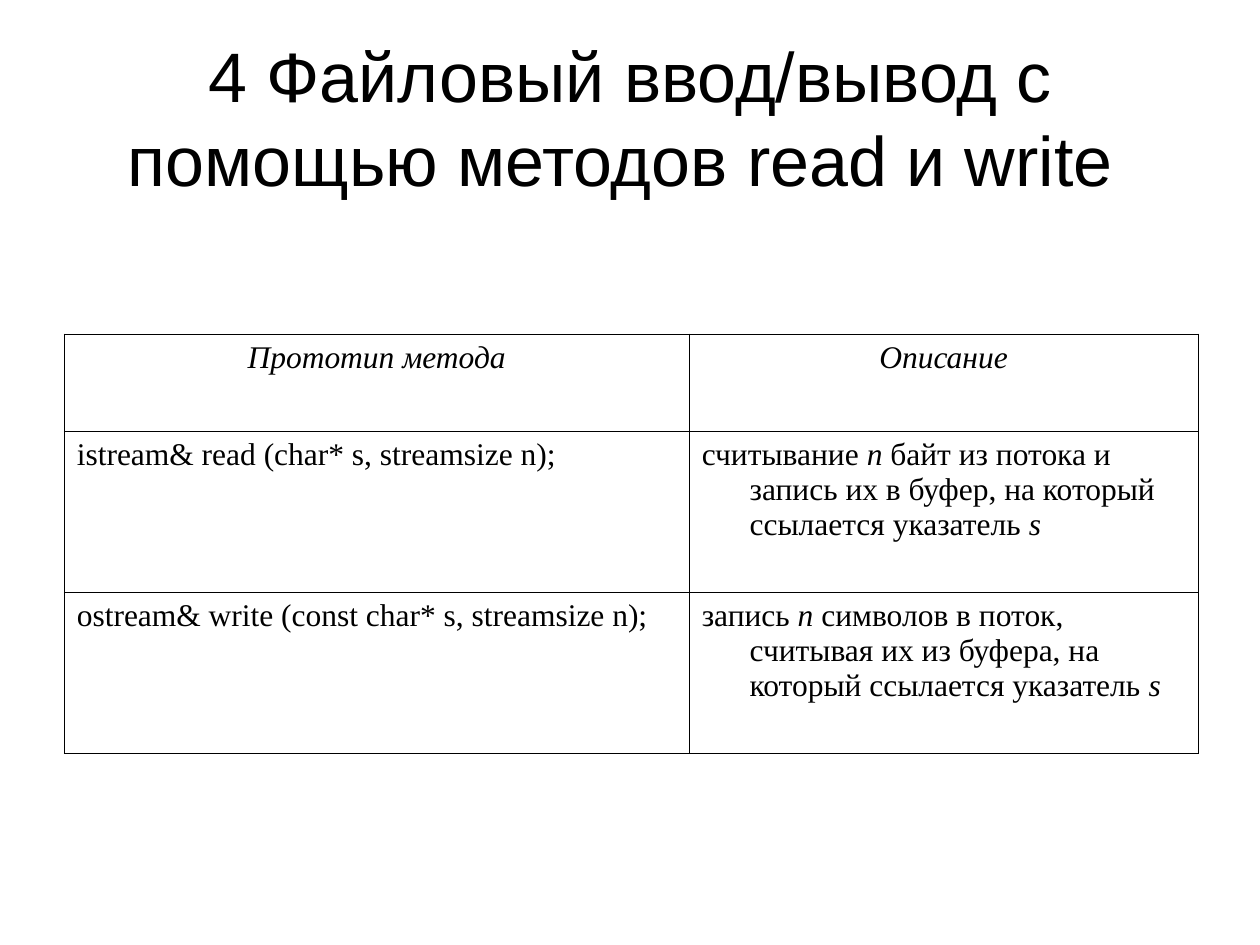
"""Build the slide on file input and output with the read and write methods."""
from typing import NamedTuple

from lxml import etree
from pptx import Presentation
from pptx.dml.color import RGBColor
from pptx.enum.text import MSO_ANCHOR, MSO_AUTO_SIZE, PP_ALIGN
from pptx.oxml.ns import qn
from pptx.util import Inches, Pt

BLACK = RGBColor(0x00, 0x00, 0x00)
CENTER, LEFT = PP_ALIGN.CENTER, PP_ALIGN.LEFT
MIDDLE, TOP = MSO_ANCHOR.MIDDLE, MSO_ANCHOR.TOP
NO_FIT = MSO_AUTO_SIZE.NONE
TITLE_LAYOUT = 5
WIDTH, HEIGHT = Inches(10), Inches(7.5)
COLUMNS = (4.96, 4.04)
ROWS = (0.77, 1.28, 1.28)
INDENT = Inches(0.38)
BORDER = Pt(0.45)


class Piece(NamedTuple):
    text: str
    italic: bool = False


class Row(NamedTuple):
    prototype: list[Piece]
    description: list[Piece]
    align: int = LEFT


TITLE = "4 Файловый ввод/вывод с помощью методов read и write "
CONTENT = [
    Row([Piece("Прототип метода", True)], [Piece("Описание", True)], CENTER),
    Row(
        [Piece("istream& read (char* s, streamsize n);")],
        [
            Piece("считывание "),
            Piece("п", True),
            Piece(" байт из потока и запись их в буфер, на который ссылается указатель "),
            Piece("s", True),
        ],
    ),
    Row(
        [Piece("ostream& write (const char* s, streamsize n);")],
        [
            Piece("запись "),
            Piece("п", True),
            Piece(" символов в поток, считывая их из буфера, на который ссылается указатель "),
            Piece("s", True),
        ],
    ),
]


def add_run(p, text: str, *, font: str, size: float, italic: bool = False) -> None:
    """Append a formatted run to a paragraph."""
    r = p.add_run()
    r.text = text
    r.font.name, r.font.size = font, Pt(size)
    r.font.bold, r.font.italic = False, italic
    r.font.color.rgb = BLACK


def set_borders(cell) -> None:
    """Draw a thin black line on every side of a cell."""
    tc_pr = cell._tc.get_or_add_tcPr()
    for index, side in enumerate(("a:lnL", "a:lnR", "a:lnT", "a:lnB")):
        ln = etree.Element(qn(side), w=str(int(BORDER)))
        fill = etree.SubElement(ln, qn("a:solidFill"))
        etree.SubElement(fill, qn("a:srgbClr"), val=str(BLACK))
        tc_pr.insert(index, ln)


def fill_cell(cell, pieces: list[Piece], align: int) -> None:
    """Write the pieces into a cell with a hanging indent."""
    cell.fill.background()
    cell.vertical_anchor = TOP
    set_borders(cell)
    p = cell.text_frame.paragraphs[0]
    p.alignment = align
    p_pr = p._p.get_or_add_pPr()
    p_pr.set("marL", str(int(INDENT)))
    p_pr.set("indent", str(-int(INDENT)))
    for piece in pieces:
        add_run(p, piece.text, font="Times New Roman", size=18, italic=piece.italic)


def add_title(s) -> None:
    """Place and format the title placeholder."""
    sp = s.shapes.title
    sp.left, sp.top = int(WIDTH * 0.05), int(HEIGHT * 0.04)
    sp.width, sp.height = int(WIDTH * 0.9), Inches(1.25)
    tf = sp.text_frame
    tf.word_wrap, tf.auto_size, tf.vertical_anchor = True, NO_FIT, MIDDLE
    p = tf.paragraphs[0]
    p.alignment = CENTER
    add_run(p, TITLE, font="Arial", size=40)


def add_methods(s) -> None:
    """Add the table of method prototypes."""
    sp = s.shapes.add_table(
        len(ROWS), len(COLUMNS), Inches(0.51), Inches(2.65),
        Inches(sum(COLUMNS)), Inches(sum(ROWS)),
    )
    table = sp.table
    table.first_row = table.horz_banding = False
    for column, width in zip(table.columns, COLUMNS):
        column.width = Inches(width)
    for line, height, row in zip(table.rows, ROWS, CONTENT):
        line.height = Inches(height)
        for cell, pieces in zip(line.cells, (row.prototype, row.description)):
            fill_cell(cell, pieces, row.align)


def main() -> None:
    """Build and save the presentation."""
    prs = Presentation()
    prs.slide_width, prs.slide_height = WIDTH, HEIGHT
    s = prs.slides.add_slide(prs.slide_layouts[TITLE_LAYOUT])
    add_title(s)
    add_methods(s)
    prs.save("out.pptx")


if __name__ == "__main__":
    main()
